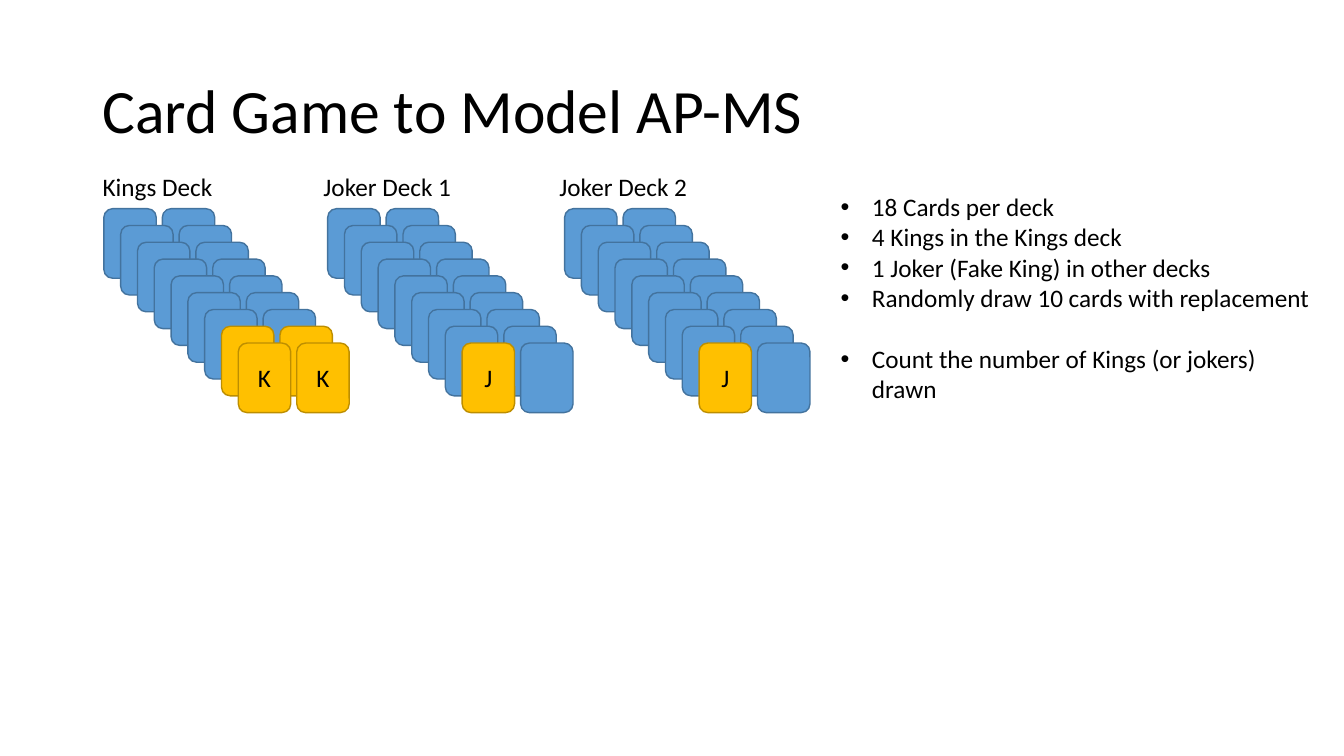
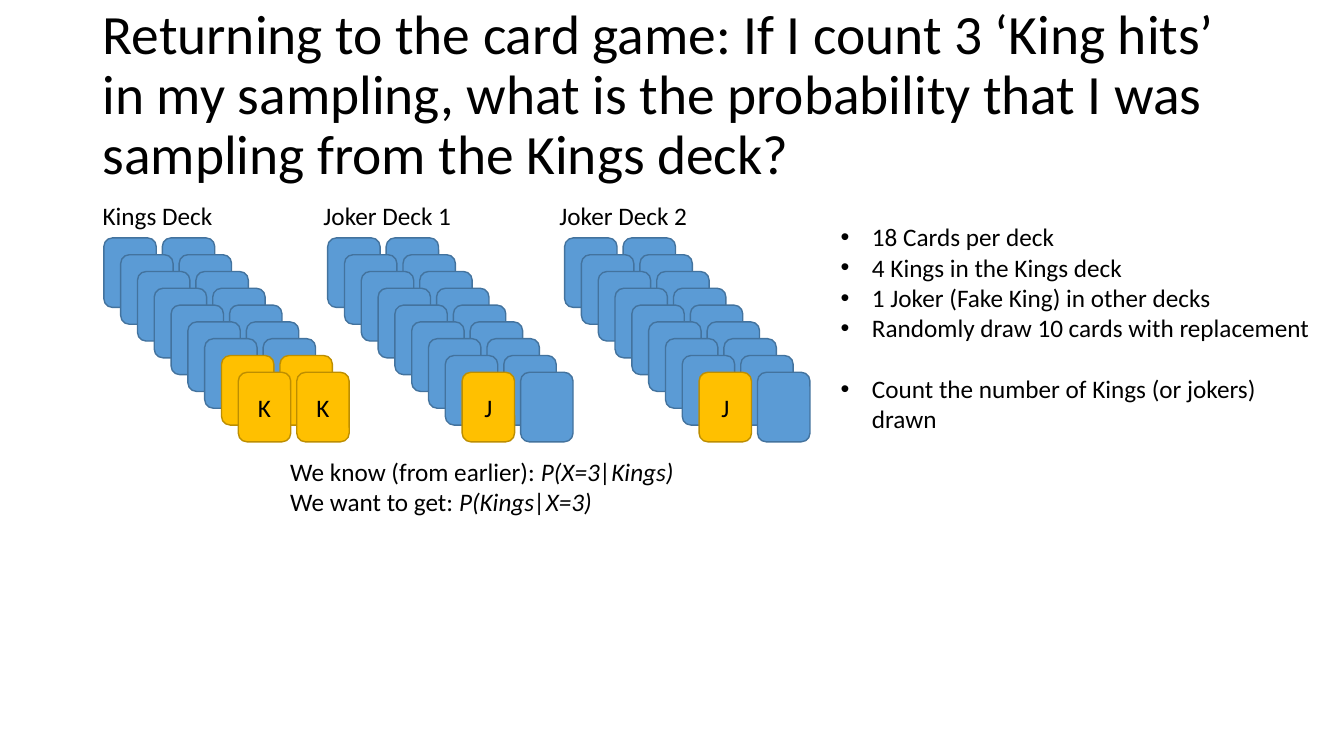
from lxml import etree
from pptx import Presentation
from pptx.dml.color import RGBColor
from pptx.enum import shapes, text
from pptx.oxml import ns
from pptx.util import Inches, Pt

# Shared style
FONT = "Calibri"
BODY_SIZE = 18
BLACK = RGBColor(0x00, 0x00, 0x00)
BLUE = RGBColor(0x5B, 0x9B, 0xD5)
BLUE_EDGE = RGBColor(0x43, 0x73, 0x9E)
GOLD = RGBColor(0xFF, 0xC0, 0x00)
GOLD_EDGE = RGBColor(0xBD, 0x8E, 0x00)

# Card stacks, in inches
CARD_WIDTH, CARD_HEIGHT = 0.52, 0.69
COLUMN_STEP = 0.58
ROW_STEP = 1 / 6
ROWS = 9
STACK_DROP = 0.42  # from the top of a stack's name to its first card

# Name, name left, name width, stack left, letter, special cards (column, row)
STACKS = [
    ("Kings Deck", 0.92, 1.3, 1.03, "K", {(0, 7), (0, 8), (1, 7), (1, 8)}),
    ("Joker Deck 1", 3.11, 1.48, 3.25, "J", {(0, 8)}),
    ("Joker Deck 2", 5.45, 1.48, 5.6, "J", {(0, 8)}),
]
RULES = [
    "18 Cards per deck",
    "4 Kings in the Kings deck",
    "1 Joker (Fake King) in other decks",
    "Randomly draw 10 cards with replacement",
    "Count the number of Kings (or jokers) drawn",
]
PROBABILITIES = [
    ("We know (from earlier): ", "P(X=3|Kings)"),
    ("We want to get: ", "P(Kings|X=3)"),
]


def style_text(frame, size=BODY_SIZE):
    for para in frame.paragraphs:
        for span in para.runs:
            span.font.name = FONT
            span.font.size = Pt(size)
            span.font.color.rgb = BLACK


def add_text(page, left, top, width, height, content, size=BODY_SIZE, wrap=True):
    box = page.shapes.add_textbox(
        Inches(left), Inches(top), Inches(width), Inches(height))
    frame = box.text_frame
    frame.word_wrap = wrap
    frame.text = content
    style_text(frame, size)
    return frame


def add_title(page, top, content, size):
    frame = add_text(page, 0.92, top, 11.5, 1.45, content, size)
    frame.vertical_anchor = text.MSO_ANCHOR.MIDDLE
    frame.paragraphs[0].line_spacing = 0.9


def add_card(page, left, top, special, letter=""):
    card = page.shapes.add_shape(
        shapes.MSO_SHAPE.ROUNDED_RECTANGLE,
        Inches(left), Inches(top), Inches(CARD_WIDTH), Inches(CARD_HEIGHT))
    card.shadow.inherit = False
    card.fill.solid()
    card.fill.fore_color.rgb = GOLD if special else BLUE
    card.line.color.rgb = GOLD_EDGE if special else BLUE_EDGE
    card.line.width = Pt(1)
    if letter:
        frame = card.text_frame
        frame.text = letter
        frame.vertical_anchor = text.MSO_ANCHOR.MIDDLE
        frame.paragraphs[0].alignment = text.PP_ALIGN.CENTER
        style_text(frame)


def add_stack(page, left, top, letter, special_cards):
    # The left column lies over the right one
    for column in (1, 0):
        for row in range(ROWS):
            special = (column, row) in special_cards
            in_front = row == ROWS - 1
            add_card(page, left + column * COLUMN_STEP + row * ROW_STEP,
                     top + row * ROW_STEP, special,
                     letter if special and in_front else "")


def add_rules(page, left, top):
    frame = add_text(page, left, top, 4.88, 2.22, "\n".join(RULES))
    for para in frame.paragraphs:
        props = para._p.get_or_add_pPr()
        props.set("marL", str(Inches(0.31)))
        props.set("indent", str(-Inches(0.31)))
        etree.SubElement(props, ns.qn("a:buFont")).set("typeface", "Arial")
        etree.SubElement(props, ns.qn("a:buChar")).set("char", "•")
    frame.paragraphs[-1].space_before = Pt(22)


def add_game(page, top, rules_top):
    for name, name_left, name_width, left, letter, special_cards in STACKS:
        add_stack(page, left, top + STACK_DROP, letter, special_cards)
        add_text(page, name_left, top, name_width, 0.4, name, wrap=False)
    add_rules(page, 8.24, rules_top)


def add_probabilities(page, left, top):
    frame = add_text(page, left, top, 4.11, 0.71, "", wrap=False)
    for index, (lead, formula) in enumerate(PROBABILITIES):
        para = frame.add_paragraph() if index else frame.paragraphs[0]
        para.text = lead
        span = para.add_run()
        span.text = formula
        span.font.italic = True
    style_text(frame)


def build_introduction(page):
    add_title(page, 0.4, "Card Game to Model AP-MS", 44)
    add_game(page, 1.65, 1.85)


def build_question(page):
    add_title(page, 0.23,
              "Returning to the card game: If I count 3 ‘King hits’ in my "
              "sampling, what is the probability that I was sampling from "
              "the Kings deck?", 39.6)
    add_game(page, 1.94, 2.15)
    add_probabilities(page, 2.78, 4.48)


def main():
    deck = Presentation()
    deck.slide_width = Inches(13.33)
    deck.slide_height = Inches(7.5)
    for build in (build_introduction, build_question):
        build(deck.slides.add_slide(deck.slide_layouts[6]))
    deck.save("out.pptx")


if __name__ == "__main__":
    main()
